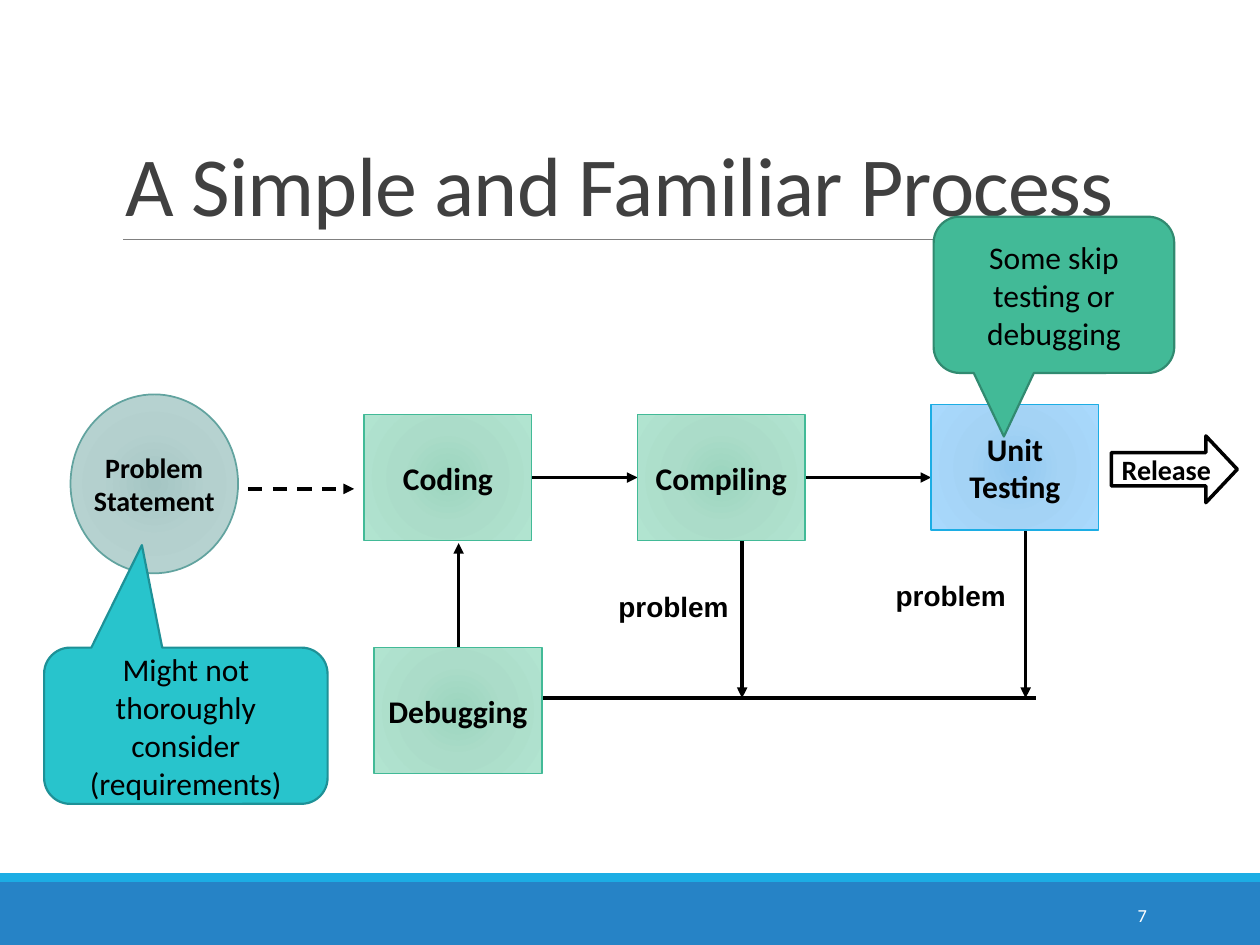
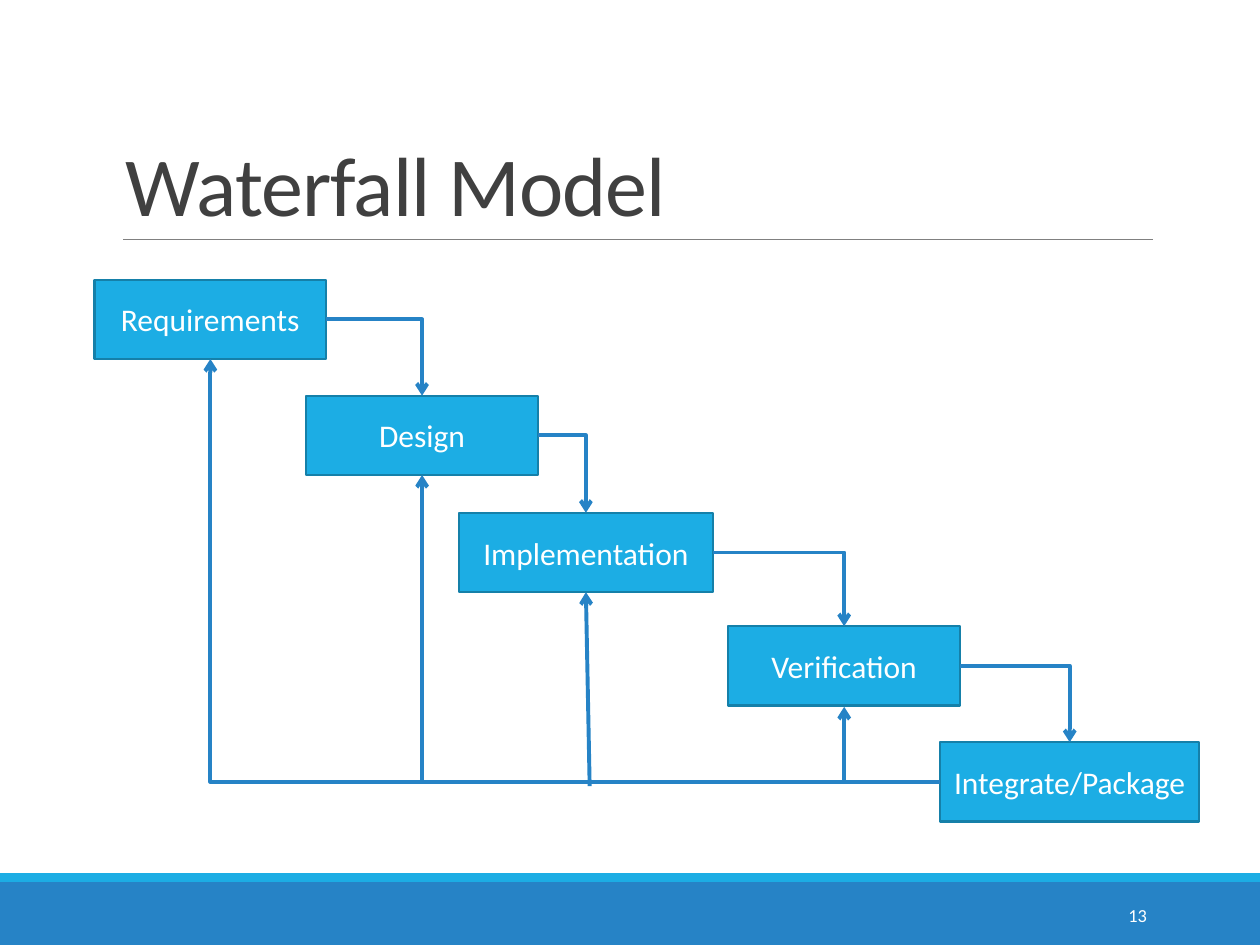
"""Build two slides on software processes: a simple flow and the waterfall model."""
from lxml.etree import SubElement
from pptx import Presentation
from pptx.dml.color import RGBColor
from pptx.enum.dml import MSO_LINE
from pptx.enum.shapes import MSO_CONNECTOR, MSO_SHAPE
from pptx.enum.text import MSO_ANCHOR, PP_ALIGN
from pptx.oxml import parse_xml
from pptx.oxml.ns import nsdecls, qn
from pptx.util import Inches, Pt


class Theme:
    font, label = "Calibri", "Arial"
    head, body, note, page = 48, 18, 16, 10.5
    black, white, dark, grey = "000000", "FFFFFF", "404040", "808080"
    blue, sky, rim = "2683C6", "1CADE4", "1580A9"
    green, moss = "42BA97", "318A70"
    teal, deep, sage = "28C4CC", "1E9197", "62A39F"
    mint = ("9BD5BE", "ABDCC9", "B1E4D0")
    mist = ("A5C6C4", "B4D0CE", "BAD7D5")
    ice = ("92C9F0", "A4D3F5", "A9D9FD")


def put(slide, kind, at, text="", fill=None, edge=None, width=1, size=Theme.body,
        color=Theme.black, bold=False, font=Theme.font, align=PP_ALIGN.CENTER,
        anchor=MSO_ANCHOR.MIDDLE, wrap=True, adjust=()):
    spot = [Inches(n) for n in at]
    if kind is None:
        shape = slide.shapes.add_textbox(*spot)
    else:
        shape = slide.shapes.add_shape(kind, *spot)
        shape.shadow.inherit = False
        shape.fill.solid()
        if isinstance(fill, tuple):
            stops = "".join(f'<a:gs pos="{pos}"><a:srgbClr val="{tint}"/></a:gs>'
                            for pos, tint in zip((0, 45000, 100000), fill))
            grad = parse_xml(
                f'<a:gradFill {nsdecls("a")} rotWithShape="1"><a:gsLst>{stops}</a:gsLst>'
                '<a:path path="circle"><a:fillToRect l="100000" t="100000" '
                'r="100000" b="100000"/></a:path></a:gradFill>')
            props = shape._element.spPr
            props.replace(props.find(qn("a:solidFill")), grad)
        else:
            shape.fill.fore_color.rgb = RGBColor.from_string(fill)
        if edge:
            shape.line.color.rgb = RGBColor.from_string(edge)
            shape.line.width = Pt(width)
        else:
            shape.line.fill.background()
        for i, value in enumerate(adjust):
            shape.adjustments[i] = value
    if text:
        frame = shape.text_frame
        frame.text = text
        frame.word_wrap = wrap
        frame.vertical_anchor = anchor
        for para in frame.paragraphs:
            para.alignment = align
            for run in para.runs:
                run.font.name, run.font.size, run.font.bold = font, Pt(size), bold
                run.font.color.rgb = RGBColor.from_string(color)
    return shape


def link(slide, ends, color, width, tip=None, dash=False, kind=MSO_CONNECTOR.STRAIGHT):
    line = slide.shapes.add_connector(kind, *[Inches(n) for n in ends])
    line.line.color.rgb = RGBColor.from_string(color)
    line.line.width = Pt(width)
    if dash:
        line.line.dash_style = MSO_LINE.DASH
    props = line._element.spPr
    if tip:
        SubElement(props.find(qn("a:ln")), qn("a:tailEnd"), type=tip)
    SubElement(props, qn("a:effectLst"))
    return line


deck = Presentation()
deck.slide_width, deck.slide_height = Inches(10), Inches(7.5)

slides = []
for title, page in (("A Simple and Familiar Process", "7"), ("Waterfall Model", "13")):
    slide = deck.slides.add_slide(deck.slide_layouts[6])
    put(slide, MSO_SHAPE.RECTANGLE, (0, 7, 10, 0.5), fill=Theme.blue)
    put(slide, MSO_SHAPE.RECTANGLE, (0, 6.93, 10, 0.07), fill=Theme.sky)
    link(slide, (0.98, 1.9, 9.15, 1.9), Theme.grey, 0.5)
    head = put(slide, None, (0.9, 0.31, 8.25, 1.59), title, size=Theme.head,
               color=Theme.dark, align=PP_ALIGN.LEFT, anchor=MSO_ANCHOR.BOTTOM)
    para = head.text_frame.paragraphs[0]
    para.line_spacing = 0.85
    para.runs[0].font._element.set("spc", "-50")
    put(slide, None, (8.12, 7.06, 1.08, 0.4), page, size=Theme.page,
        color=Theme.white, align=PP_ALIGN.RIGHT)
    slides.append(slide)
flow, falls = slides

link(flow, (8.22, 5.54, 4.31, 5.54), Theme.black, 1.75)
for ends in ((4.22, 3.79, 5.06, 3.79), (6.39, 3.79, 7.39, 3.79), (8.14, 4.21, 8.14, 5.54),
             (5.89, 4.29, 5.89, 5.54), (3.64, 5.14, 3.64, 4.31)):
    link(flow, ends, Theme.black, 2, "triangle")
link(flow, (1.97, 3.88, 2.81, 3.88), Theme.black, 2, "triangle", dash=True)

for text, left, top, fill, edge in (
        ("Coding", 2.89, 3.29, Theme.mint, Theme.green),
        ("Compiling", 5.06, 3.29, Theme.mint, Theme.green),
        ("Debugging", 2.97, 5.14, Theme.mint, Theme.green),
        ("Unit\nTesting", 7.39, 3.21, Theme.ice, Theme.sky)):
    put(flow, MSO_SHAPE.RECTANGLE, (left, top, 1.33, 1), text, fill, edge,
        bold=True, wrap=False)
put(flow, MSO_SHAPE.OVAL, (0.56, 3.13, 1.33, 1.42), "Problem\nStatement", Theme.mist,
    Theme.sage, size=Theme.note, bold=True, wrap=False)
put(flow, MSO_SHAPE.RIGHT_ARROW, (8.82, 3.46, 1, 0.53), "Release", Theme.white,
    Theme.black, 2, size=Theme.note, bold=True, wrap=False, adjust=(0.5, 0.471))
for left, top in ((4.81, 4.63), (7.01, 4.54)):
    put(flow, None, (left, top, 1.08, 0.37), "problem", size=Theme.note, bold=True,
        font=Theme.label, align=PP_ALIGN.LEFT, anchor=MSO_ANCHOR.TOP, wrap=False)

for text, at, fill, edge, tail in (
        ("Some skip testing or debugging", (7.41, 1.72, 1.91, 1.24),
         Theme.green, Theme.moss, (-0.208, 0.907, 0.167)),
        ("Might not thoroughly consider\v(requirements)", (0.35, 5.14, 2.25, 1.24),
         Theme.teal, Theme.deep, (-0.155, -1.156, 0.167))):
    put(flow, MSO_SHAPE.ROUNDED_RECTANGULAR_CALLOUT, at, text, fill, edge, 1.25, adjust=tail)

steps = [
    put(falls, MSO_SHAPE.RECTANGLE, (left, top, width, 0.63), text, Theme.sky,
        Theme.rim, 1.25, color=Theme.white)
    for text, left, top, width in (
        ("Requirements", 0.75, 2.22, 1.84), ("Design", 2.43, 3.14, 1.84),
        ("Implementation", 3.64, 4.07, 2.02), ("Verification", 5.78, 4.97, 1.84),
        ("Integrate/Package", 7.46, 5.89, 2.06))]

TOP, LEFT, BOTTOM, RIGHT = range(4)
bends = [(a, RIGHT, b, TOP) for a, b in zip(steps, steps[1:])]
bends.append((steps[-1], LEFT, steps[0], BOTTOM))
for start, out, end, into in bends:
    bend = link(falls, (0, 0, 1, 1), Theme.blue, 2.25, "arrow", kind=MSO_CONNECTOR.ELBOW)
    bend._element.spPr.find(qn("a:prstGeom")).set("prst", "bentConnector2")
    bend.begin_connect(start, out)
    bend.end_connect(end, into)
for ends in ((6.7, 6.21, 6.7, 5.61), (4.68, 6.24, 4.65, 4.7), (3.35, 6.19, 3.35, 3.77)):
    link(falls, ends, Theme.blue, 2.25, "arrow")

deck.save("out.pptx")
